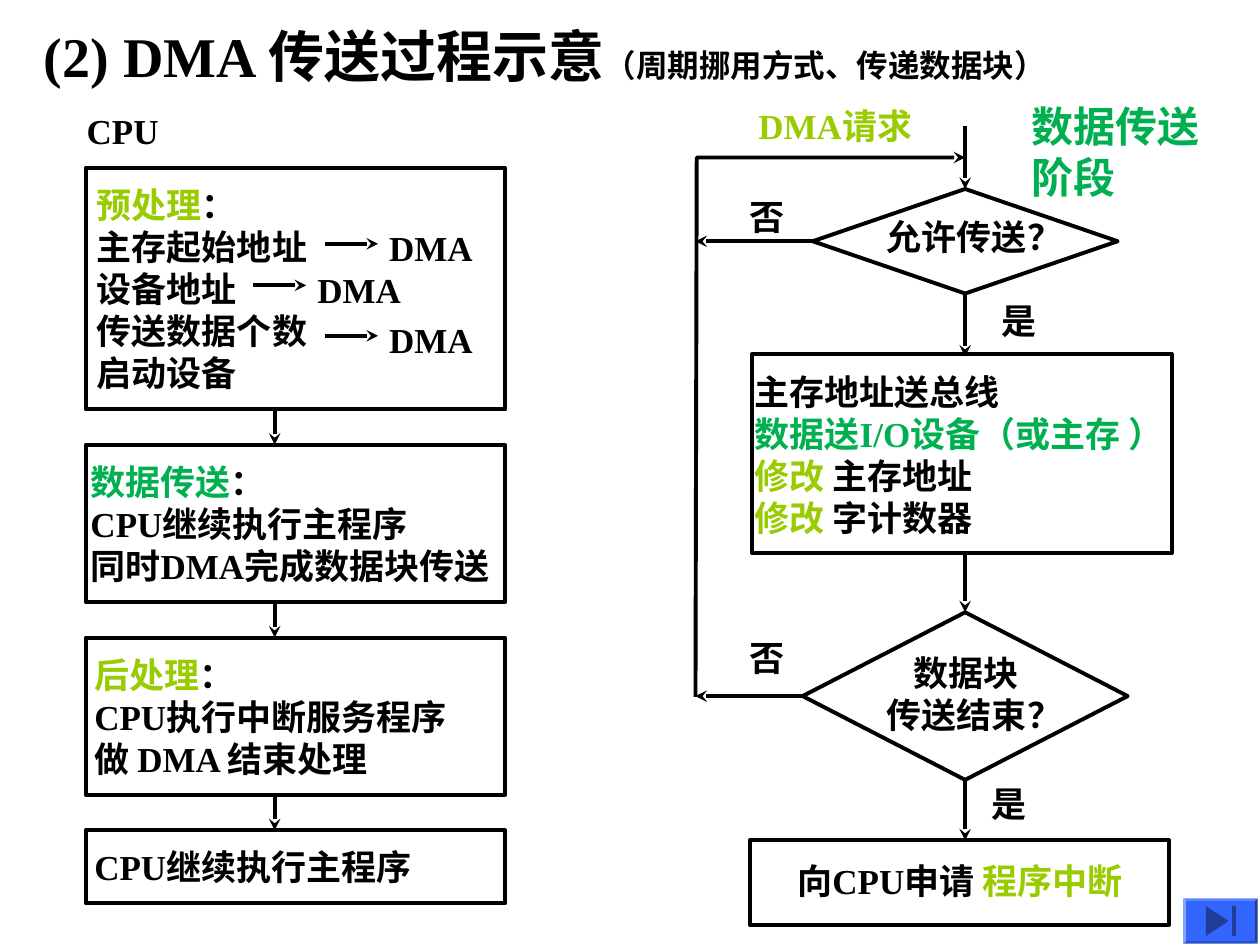
from lxml import etree
from pptx import Presentation
from pptx import util as u
from pptx.dml.color import RGBColor
from pptx.enum import shapes, text
from pptx.oxml import ns

SLIDE_WIDTH = u.Inches(10)
SLIDE_HEIGHT = u.Inches(7.5)
COLUMN = SLIDE_WIDTH / 100
ROW = SLIDE_HEIGHT / 75
BLACK = RGBColor(0, 0, 0)
LIME = RGBColor(0x99, 0xCC, 0)
GREEN = RGBColor(0, 0xB0, 0x50)
BLUE = RGBColor(0x33, 0x66, 0xFF)
NAVY = RGBColor(0x1F, 0x3D, 0x99)
FONT = "Times New Roman"
LINE_WIDTH = u.Pt(2.25)


def columns(count):
    return u.Emu(round(count * COLUMN))


def rows(count):
    return u.Emu(round(count * ROW))


def grid(left, top, width, height):
    return columns(left), rows(top), columns(width), rows(height)


def text_height(line_count, size=20):
    return 1 + line_count * size / 6


def add_text(slide, left, top, width, paragraphs, *, size=20, color=BLACK,
             height=None, first_indent=0):
    height = height or text_height(len(paragraphs), size)
    frame = slide.shapes.add_textbox(*grid(left, top, width, height)).text_frame
    frame.word_wrap = True
    frame.auto_size = text.MSO_AUTO_SIZE.SHAPE_TO_FIT_TEXT
    for index, runs in enumerate(paragraphs):
        paragraph = frame.paragraphs[0] if index == 0 else frame.add_paragraph()
        if index == 0 and first_indent:
            paragraph._p.get_or_add_pPr().set("indent", str(u.Pt(first_indent)))
        for content, overrides in runs:
            run = paragraph.add_run()
            run.text = content
            run.font.name = FONT
            run.font.bold = True
            run.font.size = u.Pt(overrides.get("size", size))
            run.font.color.rgb = overrides.get("color", color)


def plain(*lines):
    return [[(line, {})] for line in lines]


def heading(content, color):
    return [[(content, {"color": color}), ("：", {})]]


def add_outline(slide, kind, left, top, width, height):
    shape = slide.shapes.add_shape(kind, *grid(left, top, width, height))
    shape.shadow.inherit = False
    shape.fill.background()
    shape.line.color.rgb = BLACK
    shape.line.width = LINE_WIDTH
    return shape


def add_solid(shape, color):
    shape.shadow.inherit = False
    shape.fill.solid()
    shape.fill.fore_color.rgb = color
    shape.line.fill.background()
    return shape


def add_path(slide, points, close):
    corners = [(columns(x), rows(y)) for x, y in points]
    builder = slide.shapes.build_freeform(*corners[0])
    builder.add_line_segments(corners[1:], close=close)
    shape = builder.convert_to_shape()
    shape.shadow.inherit = False
    return shape


def add_arrowhead(shape):
    shape.line.color.rgb = BLACK
    shape.line.width = LINE_WIDTH
    line = shape.line._get_or_add_ln()
    etree.SubElement(line, ns.qn("a:tailEnd"), type="stealth")


def add_arrow(slide, start, end, source=None, target=None):
    arrow = slide.shapes.add_connector(
        shapes.MSO_CONNECTOR.STRAIGHT, columns(start[0]), rows(start[1]),
        columns(end[0]), rows(end[1]))
    if source:
        arrow.begin_connect(*source)
    if target:
        arrow.end_connect(*target)
    add_arrowhead(arrow)
    etree.SubElement(arrow._element.spPr, ns.qn("a:effectLst"))


def add_title(slide, left, top, width, height):
    add_text(slide, left, top, width, [[
        ("(2) DMA 传送过程示意", {}),
        ("（周期挪用方式、传递数据块）", {"size": 18}),
    ]], size=32, height=height)


def add_cpu_stages(slide, left, top, width, height):
    gap = 2.8
    stages = [
        (19.2, -0.1, 20, heading("预处理", LIME) + plain(
            "主存起始地址", "设备地址", "传送数据个数", "启动设备")),
        (12.5, -0.6, 36, heading("数据传送", GREEN) + plain(
            "CPU继续执行主程序", "同时DMA完成数据块传送")),
        (12.5, -0.3, 32, heading("后处理", LIME) + plain(
            "CPU执行中断服务程序", "做 DMA 结束处理")),
        (5.8, -0.3, 32, plain("CPU继续执行主程序")),
    ]
    add_text(slide, left - 0.9, top, 9, plain("CPU"))
    first_top = stage_top = top + 5.1
    for index, (stage_height, offset, text_width, lines) in enumerate(stages):
        add_outline(slide, shapes.MSO_SHAPE.RECTANGLE,
                    left, stage_top, width, stage_height)
        text_top = stage_top + (stage_height - text_height(len(lines))) / 2
        add_text(slide, left + offset, text_top, text_width, lines)
        if index:
            add_arrow(slide, (left + 15, stage_top - gap), (left + 15, stage_top))
        stage_top += stage_height + gap
    for x, y in [(23.1, 4.2), (17.4, 7.5), (23.1, 11.5)]:
        x, y = left + x, first_top + y
        add_text(slide, x, y, 10, plain("DMA"))
        add_arrow(slide, (x - 4.1, y + 1.85), (x + 0.1, y + 1.85))


def add_transfer_flow(slide, left, top, width, height):
    axis = left + 21.4
    allowed = add_outline(slide, shapes.MSO_SHAPE.DIAMOND,
                          axis - 12.1, top + 7.5, 24.2, 8.3)
    finished = add_outline(slide, shapes.MSO_SHAPE.DIAMOND,
                           axis - 12.9, top + 41.1, 25.8, 13.3)
    for x, y, box_height in [(4.5, 20.6, 15.8), (4.3, 59.2, 6.7)]:
        add_outline(slide, shapes.MSO_SHAPE.RECTANGLE,
                    left + x, top + y, 33.3, box_height)

    for start, end, source, target in [
        (2.5, 7.5, None, (allowed, 0)),
        (15.8, 20.8, (allowed, 2), None),
        (36.4, 41.1, None, (finished, 0)),
        (54.4, 59.2, (finished, 2), None),
    ]:
        add_arrow(slide, (axis, top + start), (axis, top + end), source, target)
    for decision, y in [(allowed, 11.65), (finished, 47.75)]:
        add_arrow(slide, (axis, top + y), (left, top + y), (decision, 1))
    loop = add_path(slide, [(left, top + 47.8), (left + 0.1, top + 5),
                            (axis, top + 5)], close=False)
    loop.fill.background()
    add_arrowhead(loop)

    lime = {"color": LIME}
    work = plain("主存地址送总线")
    work.append([("数据送I/O设备（或主存 ）", {"color": GREEN})])
    work += [[("修改", lime), (target, {})] for target in (" 主存地址", " 字计数器")]
    request = [[("向CPU申请 ", {}), ("程序中断", lime)]]
    for x, y, text_width, lines, options in [
        (14.2, 9.1, 17, plain("允许传送？"), {}),
        (3.7, 21.4, 37, work, {}),
        (14.2, 43.7, 17, plain("数据块", "传送结束？"), {"first_indent": 15}),
        (7.1, 60.2, 31, request, {}),
        (4, 0.3, 16, plain("DMA请求"), lime),
        (3.3, 7.5, 6, plain("否"), {}),
        (3.3, 42.5, 6, plain("否"), {}),
        (23.3, 15.8, 6, plain("是"), {}),
        (22.5, 54.1, 6, plain("是"), {}),
        (25.7, 0, 16, plain("数据传送阶段"),
         {"size": 24, "color": GREEN, "height": 9}),
    ]:
        add_text(slide, left + x, top + y, text_width, lines, **options)


def add_end_button(slide, left, top, width, height):
    button = add_solid(slide.shapes.add_shape(
        shapes.MSO_SHAPE.BEVEL, *grid(left, top, width, height)), BLUE)
    button.adjustments[0] = 0.06
    middle = top + height / 2
    triangle = [(left + 3.6, middle), (left + 1.8, middle + 1.2),
                (left + 1.8, middle - 1.2)]
    add_solid(add_path(slide, triangle, close=True), NAVY)
    add_solid(slide.shapes.add_shape(
        shapes.MSO_SHAPE.RECTANGLE,
        *grid(left + 3.9, middle - 1.2, 0.3, 2.4)), NAVY)


def main():
    presentation = Presentation()
    presentation.slide_width = SLIDE_WIDTH
    presentation.slide_height = SLIDE_HEIGHT
    slide = presentation.slides.add_slide(presentation.slide_layouts[6])
    add_title(slide, 2.5, 1.2, 82.9, 6.4)
    add_cpu_stages(slide, 6.8, 8.2, 33.3, 63.4)
    add_transfer_flow(slide, 55.2, 7.5, 41.7, 65.9)
    add_end_button(slide, 93.9, 71.3, 5.9, 3.6)
    presentation.save("out.pptx")


if __name__ == "__main__":
    main()
